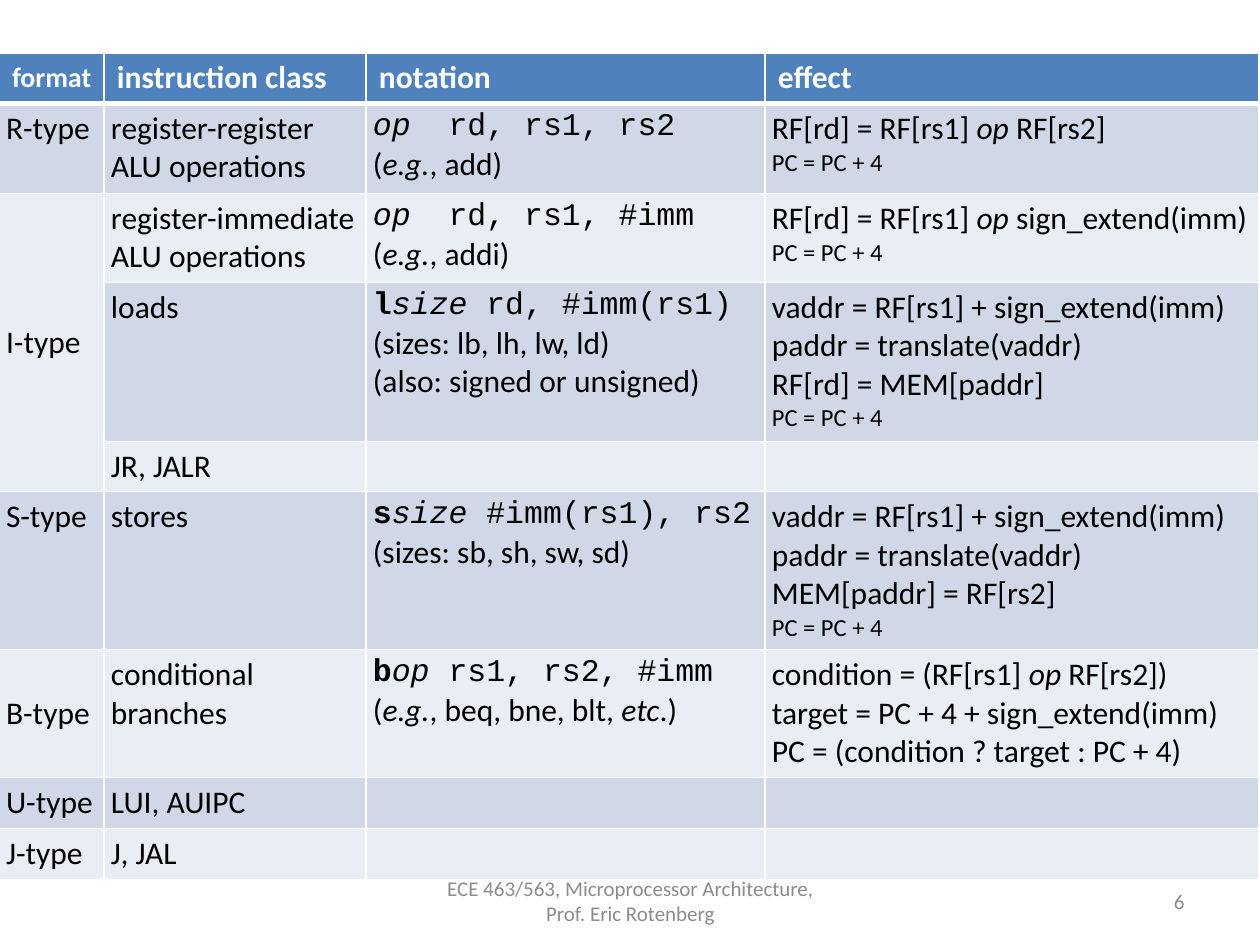
from dataclasses import dataclass
from itertools import accumulate
from typing import NamedTuple

from lxml.etree import SubElement
from pptx import Presentation
from pptx.dml.color import RGBColor
from pptx.enum.text import MSO_ANCHOR, PP_ALIGN
from pptx.oxml.ns import qn
from pptx.util import Emu, Pt

PX_PER_INCH = 126
COLORS = {
    "header": "4F81BD",
    "odd": "D0D8E8",
    "even": "E9EDF4",
    "white": "FFFFFF",
    "black": "000000",
    "footer": "8C8C8C",
}
COLUMN_WIDTHS = [105, 262, 399, 494]
HEADERS = ["format", "instruction class", "notation", "effect"]
MARGIN_Y = 6
MARGIN_X = 7
HEADER_LEFT = 13


class Run(NamedTuple):
    text: str
    font: str = "Calibri"
    bold: bool = False
    italic: bool = False
    size: int = 18


@dataclass
class Row:
    height: int
    kind: str
    instructions: str
    notation: list[list[Run]]
    effect: list[list[Run]]
    span: int = 1
    middle: bool = False


@dataclass
class Footer:
    text: str
    left: int
    width: int
    align: PP_ALIGN


def px(n: int) -> Emu:
    return Emu(round(n * 914400 / PX_PER_INCH))


def rgb(name: str) -> RGBColor:
    return RGBColor.from_string(COLORS[name])


def mono(text: str, **fmt) -> Run:
    return Run(text, font="Courier New", **fmt)


def ital(text: str) -> Run:
    return Run(text, italic=True)


def lines(*texts: str) -> list[list[Run]]:
    return [[Run(t)] for t in texts]


def alu_notation(operands: str, example: str) -> list[list[Run]]:
    return [[mono("op  ", italic=True), mono(operands + "\n"),
             Run("("), ital("e.g."), Run(f", {example})")]]


def alu_effect(operand: str) -> list[list[Run]]:
    return [[Run("RF[rd] = RF[rs1] "), ital("op"), Run(f" {operand}\n"), NEXT_PC]]


def memory_effect(transfer: str) -> list[list[Run]]:
    return lines("vaddr = RF[rs1] + sign_extend(imm)", "paddr = translate(vaddr)",
                 transfer) + [[NEXT_PC]]


def mnemonic(prefix: str, variable: str, operands: str) -> list[Run]:
    return [mono(prefix, bold=True), mono(variable, italic=True), mono(f" {operands}")]


NEXT_PC = Run("PC = PC + 4", size=14)
ROWS = [
    Row(90, "R-type", "register-register ALU operations",
        alu_notation("rd, rs1, rs2", "add"), alu_effect("RF[rs2]")),
    Row(89, "I-type", "register-immediate ALU operations",
        alu_notation("rd, rs1, #imm", "addi"), alu_effect("sign_extend(imm)"),
        span=3, middle=True),
    Row(159, "", "loads",
        [mnemonic("l", "size", "rd, #imm(rs1)")]
        + lines("(sizes: lb, lh, lw, ld)", "(also: signed or unsigned)"),
        memory_effect("RF[rd] = MEM[paddr]")),
    Row(50, "", "JR, JALR", [], []),
    Row(158, "S-type", "stores",
        [mnemonic("s", "size", "#imm(rs1), rs2")] + lines("(sizes: sb, sh, sw, sd)"),
        memory_effect("MEM[paddr] = RF[rs2]")),
    Row(128, "B-type", "conditional branches",
        [mnemonic("b", "op", "rs1, rs2, #imm"),
         [Run("("), ital("e.g."), Run(", beq, bne, blt, "), ital("etc"), Run(".)")]],
        [[Run("condition = (RF[rs1] "), ital("op"), Run(" RF[rs2])")]]
        + lines("target = PC + 4 + sign_extend(imm)", "PC = (condition ? target : PC + 4)"),
        middle=True),
    Row(51, "U-type", "LUI, AUIPC", [], []),
    Row(51, "J-type", "J, JAL", [], []),
]
FOOTERS = [
    Footer("ECE 463/563, Microprocessor Architecture, Prof. Eric Rotenberg",
           431, 399, PP_ALIGN.CENTER),
    Footer("6", 903, 294, PP_ALIGN.RIGHT),
]


def add_text(p, text: str, *, size: int = 18, font: str = "Calibri",
             color: str = "black", bold: bool = False, italic: bool = False) -> None:
    r = p.add_run()
    r.text = text.rstrip("\n")
    r.font.size = Pt(size)
    r.font.name = font
    r.font.color.rgb = rgb(color)
    r.font.bold = bold
    r.font.italic = italic
    if text.endswith("\n"):
        p.add_line_break()


def style_cell(cell, fill: str, left: int = MARGIN_X, top: int = 1, bottom: int = 1) -> None:
    cell.margin_left = px(left)
    cell.margin_right = px(MARGIN_Y)
    cell.margin_top = cell.margin_bottom = px(MARGIN_Y)
    tc_pr = cell._tc.get_or_add_tcPr()
    for side, width in {"L": 1, "R": 1, "T": top, "B": bottom}.items():
        ln = SubElement(tc_pr, qn(f"a:ln{side}"), w=str(Pt(width)))
        solid = SubElement(ln, qn("a:solidFill"))
        SubElement(solid, qn("a:srgbClr"), val=COLORS["white"])
    cell.fill.solid()
    cell.fill.fore_color.rgb = rgb(fill)


def fill_cell(cell, paragraphs: list[list[Run]], color: str = "black") -> None:
    tf = cell.text_frame
    for i, runs in enumerate(paragraphs):
        p = tf.add_paragraph() if i else tf.paragraphs[0]
        for run in runs:
            add_text(p, color=color, **run._asdict())


def add_instruction_table(s) -> None:
    heights = [50] + [row.height for row in ROWS]
    table = s.shapes.add_table(len(heights), len(COLUMN_WIDTHS), px(-1), px(53),
                               px(sum(COLUMN_WIDTHS)), px(sum(heights))).table
    table.horz_banding = False
    for column, width in zip(table.columns, COLUMN_WIDTHS):
        column.width = px(width)
    for table_row, bottom, height in zip(table.rows, accumulate(heights), heights):
        table_row.height = px(bottom) - px(bottom - height)
    for c, title in enumerate(HEADERS):
        cell = table.cell(0, c)
        style_cell(cell, "header", HEADER_LEFT, bottom=3)
        cell.vertical_anchor = MSO_ANCHOR.MIDDLE
        fill_cell(cell, [[Run(title, bold=True, size=18 if c else 16)]], "white")
    for i, row in enumerate(ROWS, start=1):
        contents = [lines(row.kind) if row.kind else [], lines(row.instructions),
                    row.notation, row.effect]
        for c, paragraphs in enumerate(contents):
            cell = table.cell(i, c)
            style_cell(cell, "odd" if i % 2 else "even", top=3 if i == 1 else 1)
            fill_cell(cell, paragraphs)
        kind_cell = table.cell(i, 0)
        if row.middle:
            kind_cell.vertical_anchor = MSO_ANCHOR.MIDDLE
        if row.span > 1:
            kind_cell.merge(table.cell(i + row.span - 1, 0))


def add_footer(s, footer: Footer) -> None:
    sp = s.shapes.add_textbox(px(footer.left), px(876), px(footer.width), px(50))
    tf = sp.text_frame
    tf.word_wrap = True
    tf.vertical_anchor = MSO_ANCHOR.MIDDLE
    p = tf.paragraphs[0]
    p.alignment = footer.align
    add_text(p, footer.text, size=12, color="footer")


def main() -> None:
    prs = Presentation()
    prs.slide_width, prs.slide_height = px(1260), px(945)
    s = prs.slides.add_slide(prs.slide_layouts[6])
    add_instruction_table(s)
    for footer in FOOTERS:
        add_footer(s, footer)
    prs.save("out.pptx")


if __name__ == "__main__":
    main()
